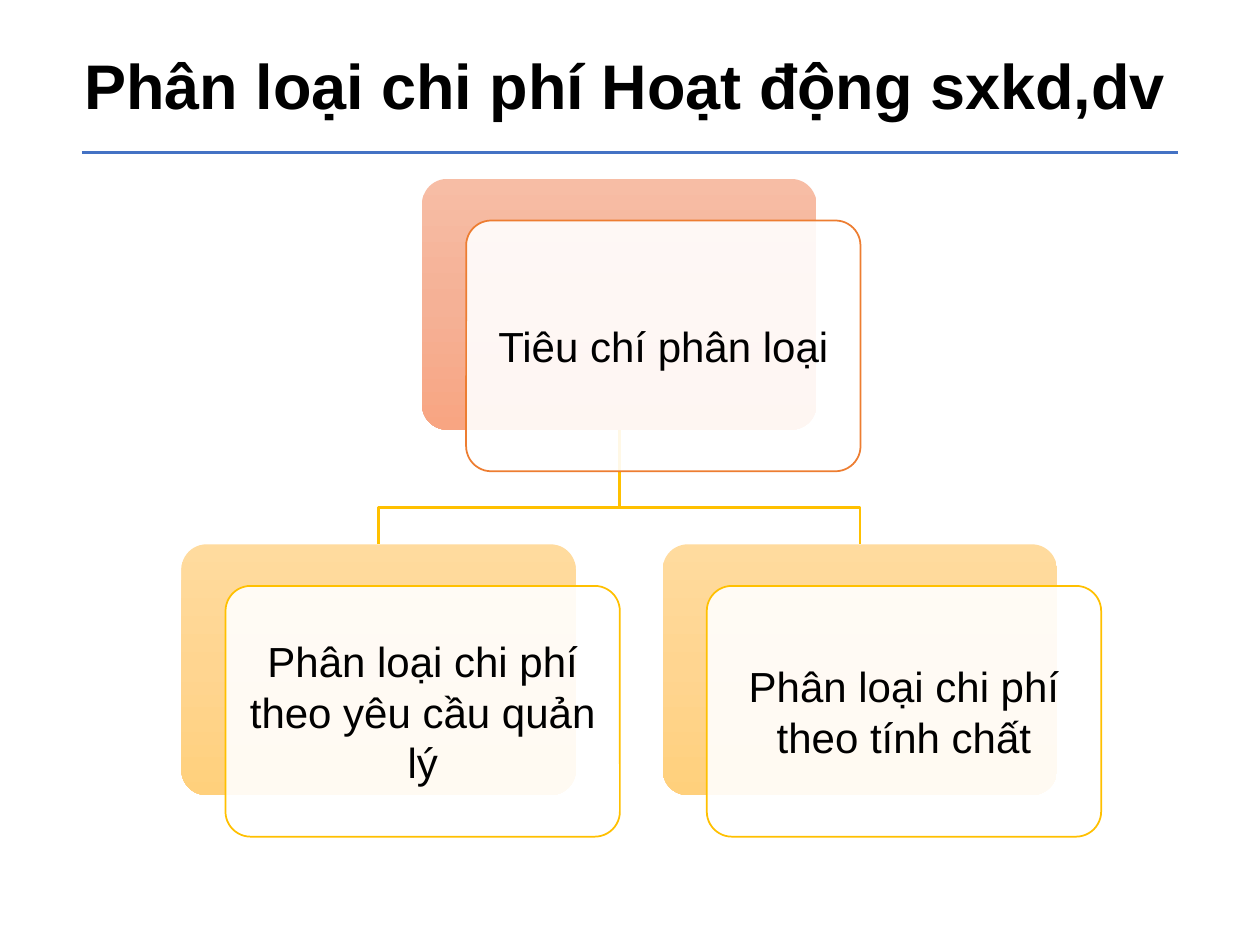
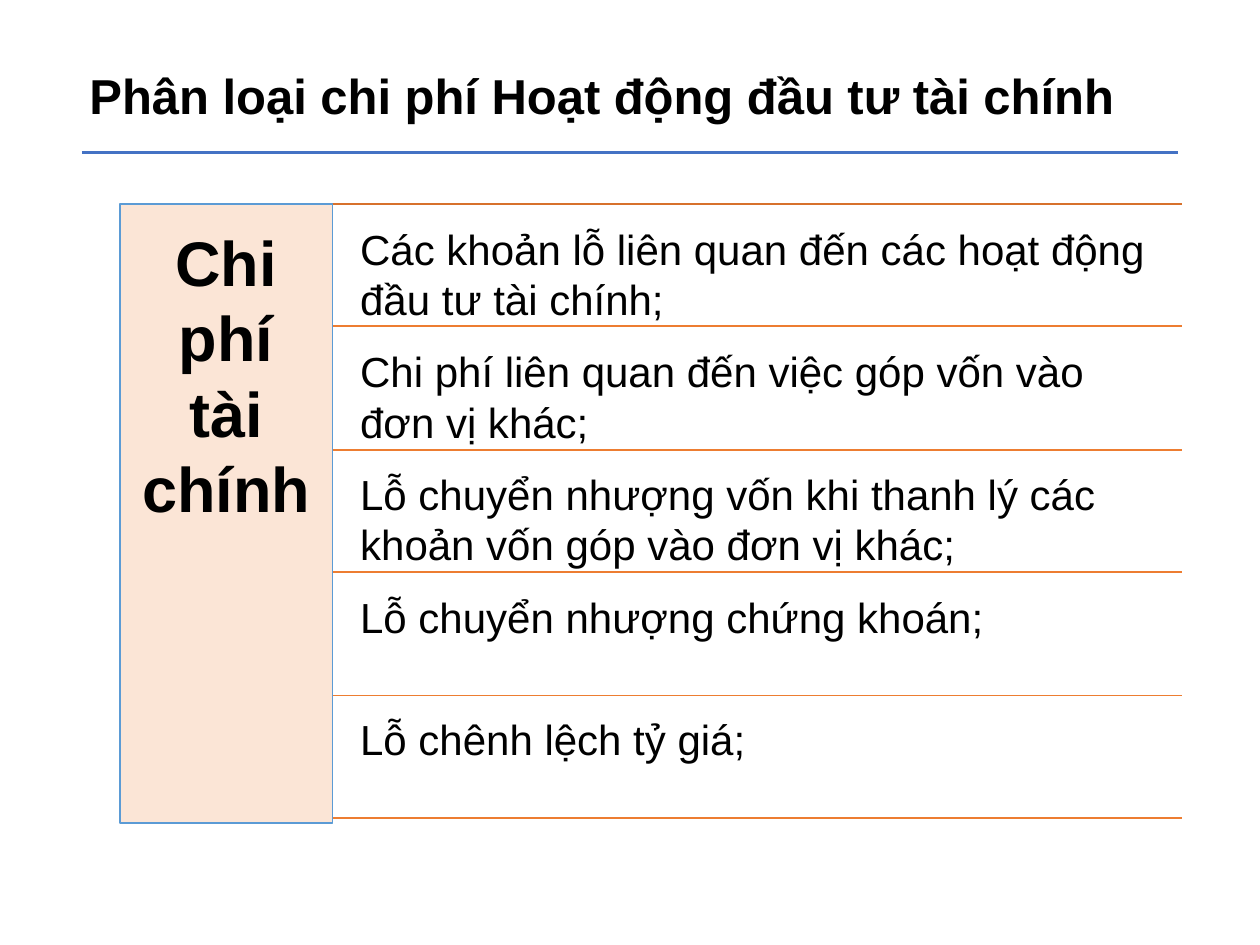
from copy import deepcopy
from dataclasses import dataclass

from pptx import Presentation
from pptx.dml.color import RGBColor
from pptx.enum.shapes import MSO_CONNECTOR as Connector, MSO_SHAPE as Shape
from pptx.enum.text import MSO_ANCHOR as Anchor, MSO_AUTO_SIZE as AutoSize, PP_ALIGN as Align
from pptx.oxml.ns import qn
from pptx.util import Inches, Pt

# Content
COST_TITLE = "Phân loại chi phí Hoạt động sxkd,dv"
ROOT = "Tiêu chí phân loại"
BRANCHES = ["Phân loại chi phí theo yêu cầu quản lý", "Phân loại chi phí theo tính chất"]

FINANCE_TITLE = "Phân loại chi phí Hoạt động đầu tư tài chính"
FINANCE_LABEL = "Chi phí tài chính"
FINANCE_ITEMS = [
    "Các khoản lỗ liên quan đến các hoạt động đầu tư tài chính;",
    "Chi phí liên quan đến việc góp vốn vào đơn vị khác;",
    "Lỗ chuyển nhượng vốn khi thanh lý các khoản vốn góp vào đơn vị khác;",
    "Lỗ chuyển nhượng chứng khoán;",
    "Lỗ chênh lệch tỷ giá;",
]


# Theme
@dataclass(frozen=True)
class Theme:
    font: str = "Arial"
    text: str = "000000"
    white: str = "FFFFFF"
    rule: str = "4472C4"
    orange: str = "ED7D31"
    dark_orange: str = "D7712C"
    gold: str = "FFC000"
    peach: str = "FBE5D6"
    blue: str = "5B9BD5"
    orange_fade: tuple = ("F7BDA5", "F5B196", "F8A582")
    gold_fade: tuple = ("FFDB9E", "FFD590", "FFD07C")
    large: int = 36
    title: int = 28
    body: int = 24


THEME = Theme()

# Geometry in inches
CARD_W, CARD_H = 3.13, 1.99
CARD_SHIFT_X, CARD_SHIFT_Y = 0.35, 0.33
ROOT_X, ROOT_Y = 3.35, 1.42
BRANCH_X, BRANCH_Y, BRANCH_STEP = 1.44, 4.32, 3.82
FORK_Y = 4.03
LIST_X, LIST_TOP, LIST_BOTTOM, LIST_RIGHT = 0.95, 1.62, 6.49, 9.38
LABEL_W, LABEL_H = 1.69, 4.91


def rgb(value):
    return RGBColor.from_string(value)


def write(shape, text, size, bold=False, align=Align.LEFT, anchor=Anchor.TOP,
          inset=0.1, top=None):
    """Fill a shape with one formatted paragraph."""
    frame = shape.text_frame
    frame_format = {
        "word_wrap": True, "auto_size": AutoSize.NONE, "vertical_anchor": anchor,
        "margin_left": Inches(inset), "margin_right": Inches(inset),
        "margin_top": Inches(inset if top is None else top),
        "margin_bottom": Inches(inset),
    }
    for name, value in frame_format.items():
        setattr(frame, name, value)
    para = frame.paragraphs[0]
    para.alignment, para.line_spacing = align, 1.0
    span = para.add_run()
    span.text = text
    for name, value in {"name": THEME.font, "size": Pt(size), "bold": bold}.items():
        setattr(span.font, name, value)
    span.font.color.rgb = rgb(THEME.text)


def add_line(page, x1, y1, x2, y2, color, width=1):
    line = page.shapes.add_connector(
        Connector.STRAIGHT, Inches(x1), Inches(y1), Inches(x2), Inches(y2))
    line.line.color.rgb, line.line.width = rgb(color), Pt(width)
    properties = line._element.spPr
    properties.append(properties.makeelement(qn("a:effectLst"), {}))
    return line


def add_box(page, kind, x, y, w, h, fill=None, outline=None):
    box = page.shapes.add_shape(kind, Inches(x), Inches(y), Inches(w), Inches(h))
    box.shadow.inherit = False
    if kind == Shape.ROUNDED_RECTANGLE:
        box.adjustments[0] = 0.1
    if fill:
        box.fill.solid()
        box.fill.fore_color.rgb = rgb(fill)
    if outline:
        box.line.color.rgb, box.line.width = rgb(outline), Pt(1)
    else:
        box.line.fill.background()
    return box


def fade(box, colors):
    """Apply a downward gradient with three evenly spaced stops."""
    box.fill.gradient()
    box.fill.gradient_angle = 270
    stop_list = box._element.spPr.find(qn("a:gradFill")).find(qn("a:gsLst"))
    stop_list.insert(1, deepcopy(stop_list[0]))
    for i, (stop, color) in enumerate(zip(box.fill.gradient_stops, colors)):
        stop.color.rgb, stop.position = rgb(color), i / 2


def add_card(page, x, y, text, outline, colors):
    """A gradient card with a translucent text card shifted in front."""
    back = add_box(page, Shape.ROUNDED_RECTANGLE, x, y, CARD_W, CARD_H)
    fade(back, colors)
    front = add_box(page, Shape.ROUNDED_RECTANGLE, x + CARD_SHIFT_X, y + CARD_SHIFT_Y,
                    CARD_W, CARD_H, THEME.white, outline)
    color = next(front._element.spPr.iter(qn("a:srgbClr")))
    color.append(color.makeelement(qn("a:alpha"), {"val": "90000"}))
    write(front, text, THEME.body, align=Align.CENTER, anchor=Anchor.MIDDLE)


def add_link(page, x):
    """An elbow from the root card down to the branch card centred on x."""
    root_x = ROOT_X + CARD_W / 2
    points = [(root_x, ROOT_Y + CARD_H), (root_x, FORK_Y), (x, FORK_Y), (x, BRANCH_Y)]
    start, *rest = [(Inches(px), Inches(py)) for px, py in points]
    builder = page.shapes.build_freeform(*start)
    builder.add_line_segments(rest, close=False)
    link = builder.convert_to_shape()
    link.shadow.inherit = False
    link.fill.background()
    link.line.color.rgb, link.line.width = rgb(THEME.gold), Pt(1.5)


def add_page(deck, layout, text, size, x, y, w, h):
    page = deck.slides.add_slide(layout)
    title = page.shapes.title
    for name, value in {"left": x, "top": y, "width": w, "height": h}.items():
        setattr(title, name, Inches(value))
    write(title, text, size, bold=True, align=Align.JUSTIFY, top=0.05)
    return page


def fill_cost_tree(page):
    branch_xs = [BRANCH_X + i * BRANCH_STEP for i in range(len(BRANCHES))]
    for x in reversed(branch_xs):
        add_link(page, x + CARD_W / 2)
    add_card(page, ROOT_X, ROOT_Y, ROOT, THEME.orange, THEME.orange_fade)
    for x, text in zip(branch_xs, BRANCHES):
        add_card(page, x, BRANCH_Y, text, THEME.gold, THEME.gold_fade)


def fill_finance_list(page):
    add_line(page, LIST_X, LIST_TOP, LIST_RIGHT, LIST_TOP, THEME.dark_orange)
    label = add_box(page, Shape.RECTANGLE, LIST_X, LIST_TOP, LABEL_W, LABEL_H,
                    THEME.peach, THEME.blue)
    write(label, FINANCE_LABEL, THEME.large, bold=True, align=Align.CENTER, inset=0.15)
    row_h = (LIST_BOTTOM - LIST_TOP) / len(FINANCE_ITEMS)
    rows_x = LIST_X + LABEL_W
    text_x = rows_x + 0.12
    for i, text in enumerate(FINANCE_ITEMS):
        y = LIST_TOP + i * row_h
        bottom = round(y + row_h, 2)
        box = page.shapes.add_textbox(Inches(text_x), Inches(y + 0.05),
                                      Inches(LIST_RIGHT - text_x), Inches(row_h - 0.05))
        write(box, text, THEME.body)
        add_line(page, rows_x, bottom, LIST_RIGHT, bottom, THEME.orange)


def main():
    deck = Presentation()
    deck.slide_width, deck.slide_height = Inches(10), Inches(7.5)
    layout = deck.slide_layouts.get_by_name("Title Only")

    # Cost classification tree
    page = add_page(deck, layout, COST_TITLE, THEME.large, 0.57, 0.32, 8.87, 0.71)
    # The rule under the title moves to the layout, so both slides share it
    rule = add_line(page, 0.65, 1.21, 9.35, 1.21, THEME.rule, 1.5)
    layout.shapes._spTree.append(rule._element)
    fill_cost_tree(page)

    # Financial cost list
    page = add_page(deck, layout, FINANCE_TITLE, THEME.title, 0.61, 0.47, 8.43, 0.57)
    fill_finance_list(page)

    deck.save("out.pptx")


if __name__ == "__main__":
    main()
